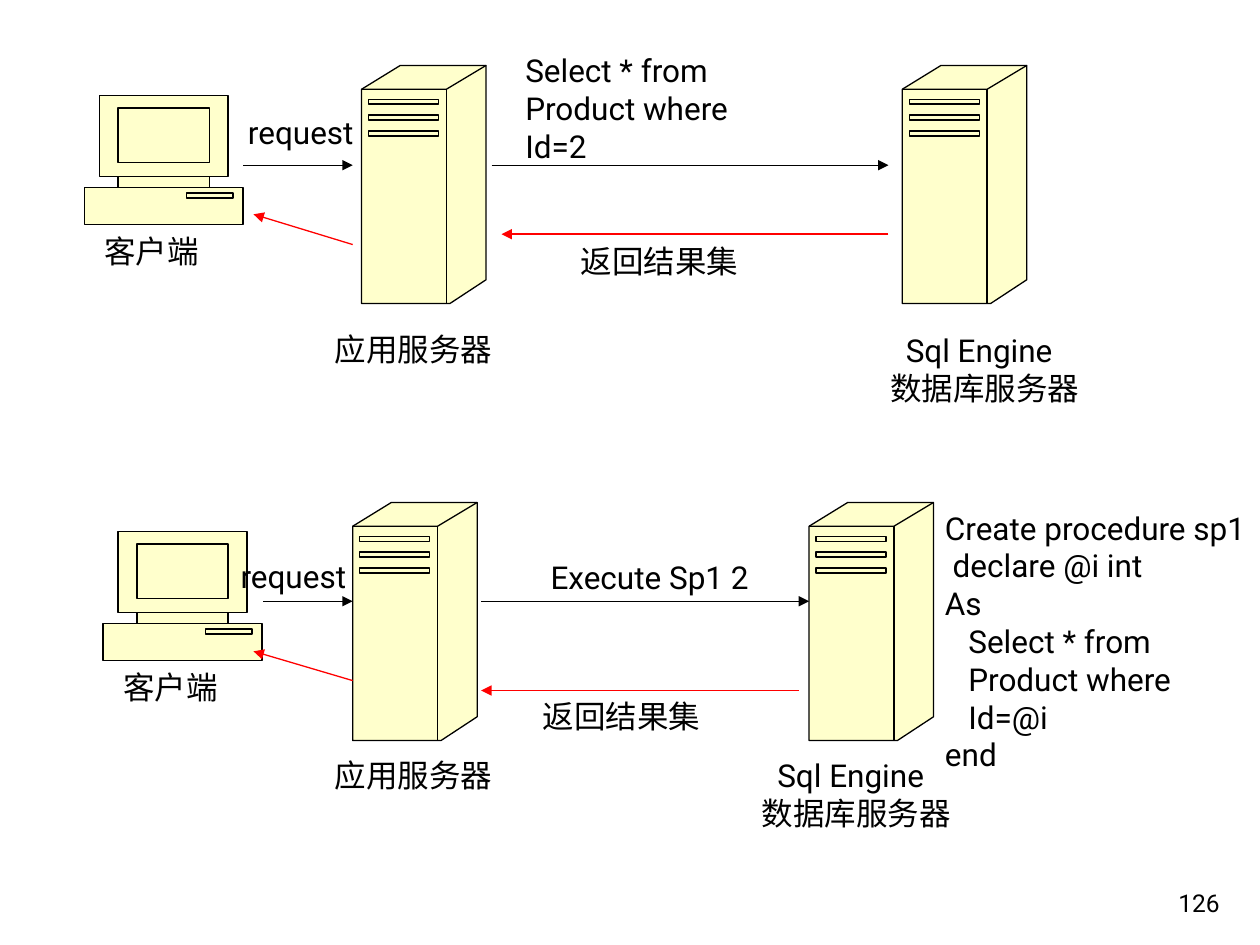
from copy import deepcopy

from lxml import etree
from pptx import Presentation
from pptx.dml.color import RGBColor
from pptx.enum.shapes import MSO_CONNECTOR
from pptx.enum.text import MSO_ANCHOR, MSO_AUTO_SIZE, PP_ALIGN
from pptx.oxml.ns import qn
from pptx.util import Cm, Pt

STRAIGHT = MSO_CONNECTOR.STRAIGHT
GROW = MSO_AUTO_SIZE.SHAPE_TO_FIT_TEXT
NO_GROW = MSO_AUTO_SIZE.NONE
TOP, BOTTOM = MSO_ANCHOR.TOP, MSO_ANCHOR.BOTTOM
LEFT, RIGHT = PP_ALIGN.LEFT, PP_ALIGN.RIGHT

COLORS = {"device": "FFFFCC", "ink": "000000", "reply": "FF0000"}
FONT = "Roboto"
LINE_WIDTH = Pt(0.75)


def color(name):
    return RGBColor.from_string(COLORS[name])


def rectangle(left, top, right, bottom):
    """Return a closed rectangular contour."""
    return [(left, top), (right, top), (right, bottom), (left, bottom), (left, top)]


# Device drawings in centimetres: the outline first, then the details
SERVER = [
    [(0, 0.48), (0.78, 0), (2.51, 0), (2.51, 4.32), (1.78, 4.8), (0, 4.8)],
    [(0, 0.48), (1.71, 0.48), (2.51, 0)],
    [(1.71, 0.48), (1.71, 4.8)],
    *[rectangle(0.14, 0.68 + 0.32 * slot, 1.55, 0.78 + 0.32 * slot)
      for slot in range(3)],
]
COMPUTER = [
    [(2.52, 1.85), (2.52, 1.63), (2.9, 1.63), (2.9, 0), (0.3, 0), (0.3, 1.63),
     (0.68, 1.63), (0.68, 1.85), (0, 1.85), (0, 2.59), (3.2, 2.59), (3.2, 1.85)],
    rectangle(0.68, 1.63, 2.52, 1.85),
    rectangle(0.68, 0.25, 2.52, 1.35),
    rectangle(2.06, 1.96, 3.0, 2.06),
]


def add_device(slide, contours, left, top):
    """Draw a filled outline with unfilled detail lines as one shape."""
    outline, *details = [[(Cm(x), Cm(y)) for x, y in contour] for contour in contours]
    builder = slide.shapes.build_freeform(*outline[0])
    builder.add_line_segments(outline[1:], close=True)
    for contour in details:
        builder.move_to(*contour[0])
        builder.add_line_segments(contour[1:], close=False)
    shape = builder.convert_to_shape(Cm(left), Cm(top))
    shape.shadow.inherit = False
    shape.fill.solid()
    shape.fill.fore_color.rgb = color("device")
    shape.line.color.rgb = color("ink")
    shape.line.width = LINE_WIDTH

    # Details go into a second geometry that has no fill
    filled = next(shape._element.iter(qn("a:path")))
    unfilled = deepcopy(filled)
    unfilled.set("fill", "none")
    filled.addnext(unfilled)
    split = filled.index(filled.findall(qn("a:moveTo"))[1])
    for element in filled[split:]:
        filled.remove(element)
    for element in unfilled[:split]:
        unfilled.remove(element)


def add_arrow(slide, start, end, color_name="ink"):
    connector = slide.shapes.add_connector(
        STRAIGHT, *[Cm(value) for value in (*start, *end)])
    connector.line.color.rgb = color(color_name)
    connector.line.width = LINE_WIDTH
    line = connector.line._get_or_add_ln()
    etree.SubElement(line, qn("a:tailEnd"), type="triangle")
    etree.SubElement(connector._element.spPr, qn("a:effectLst"))


def add_label(slide, lines, left, top, width, height=1.02, size=18, wrap=False,
              auto_size=GROW, anchor=TOP, alignment=LEFT, first_indent=0):
    box = slide.shapes.add_textbox(Cm(left), Cm(top), Cm(width), Cm(height))
    frame = box.text_frame
    frame.word_wrap = wrap
    frame.auto_size = auto_size
    frame.vertical_anchor = anchor
    for index, line in enumerate(lines):
        paragraph = frame.add_paragraph() if index else frame.paragraphs[0]
        paragraph.alignment = alignment
        if first_indent and not index:
            paragraph._p.get_or_add_pPr().set("marL", str(Cm(first_indent)))
        run = paragraph.add_run()
        run.text = line
        run.font.size = Pt(size)
        run.font.name = FONT
        run.font.color.rgb = color("ink")


def add_roles(slide, client, application, database):
    """Name the three machines of one scenario."""
    add_label(slide, ["客户端"], *client, 2.41)
    add_label(slide, ["应用服务器"], *application, 3.68)
    add_label(slide, ["Sql Engine", "数据库服务器"], *database, 4.32, 1.78,
              first_indent=0.31)


def add_query_scenario(slide):
    add_device(slide, SERVER, 7.29, 1.32)
    add_device(slide, COMPUTER, 1.7, 1.93)
    add_device(slide, SERVER, 18.19, 1.32)
    add_roles(slide, (1.85, 4.55), (6.5, 6.53), (17.7, 6.55))
    # Request
    add_arrow(slide, (4.9, 3.33), (7.11, 3.33))
    add_arrow(slide, (9.91, 3.33), (17.91, 3.33))
    add_label(slide, ["request"], 4.75, 2.16, 2.79)
    add_label(slide, ["Select * from", "Product where", "Id=2"],
              10.34, 0.91, 4.88, 2.54)
    # Reply
    add_arrow(slide, (17.91, 4.72), (10.11, 4.72), "reply")
    add_arrow(slide, (7.11, 4.93), (5.11, 4.32), "reply")
    add_label(slide, ["返回结果集"], 11.46, 4.75, 3.68)


def add_procedure_scenario(slide):
    add_device(slide, SERVER, 7.11, 10.13)
    add_device(slide, COMPUTER, 2.08, 10.72)
    add_device(slide, SERVER, 16.31, 10.13)
    add_roles(slide, (2.24, 13.34), (6.5, 15.11), (15.11, 15.11))
    # Request
    add_arrow(slide, (5.31, 12.12), (7.11, 12.12))
    add_arrow(slide, (9.7, 12.12), (16.31, 12.12))
    add_label(slide, ["request"], 4.6, 11.1, 2.79)
    add_label(slide, ["Execute Sp1 2"], 10.85, 11.13, 4.62)
    # Stored procedure
    procedure = ["Create procedure sp1", " declare @i int", "As",
                 "   Select * from", "   Product where", "   Id=@i", "end"]
    add_label(slide, procedure, 18.8, 10.13, 7.11, 5.59, wrap=True)
    # Reply
    add_arrow(slide, (16.1, 13.92), (9.7, 13.92), "reply")
    add_arrow(slide, (7.11, 13.72), (5.11, 13.13), "reply")
    add_label(slide, ["返回结果集"], 10.69, 13.92, 3.68)


def main():
    presentation = Presentation()
    presentation.slide_width, presentation.slide_height = Cm(25.4), Cm(19.05)
    slide = presentation.slides.add_slide(presentation.slide_layouts[6])
    add_query_scenario(slide)
    add_procedure_scenario(slide)
    # Page number
    add_label(slide, ["126"], 19.56, 17.35, 5.28, 1.27, size=14, wrap=True,
              auto_size=NO_GROW, anchor=BOTTOM, alignment=RIGHT)
    presentation.save("out.pptx")


if __name__ == "__main__":
    main()
